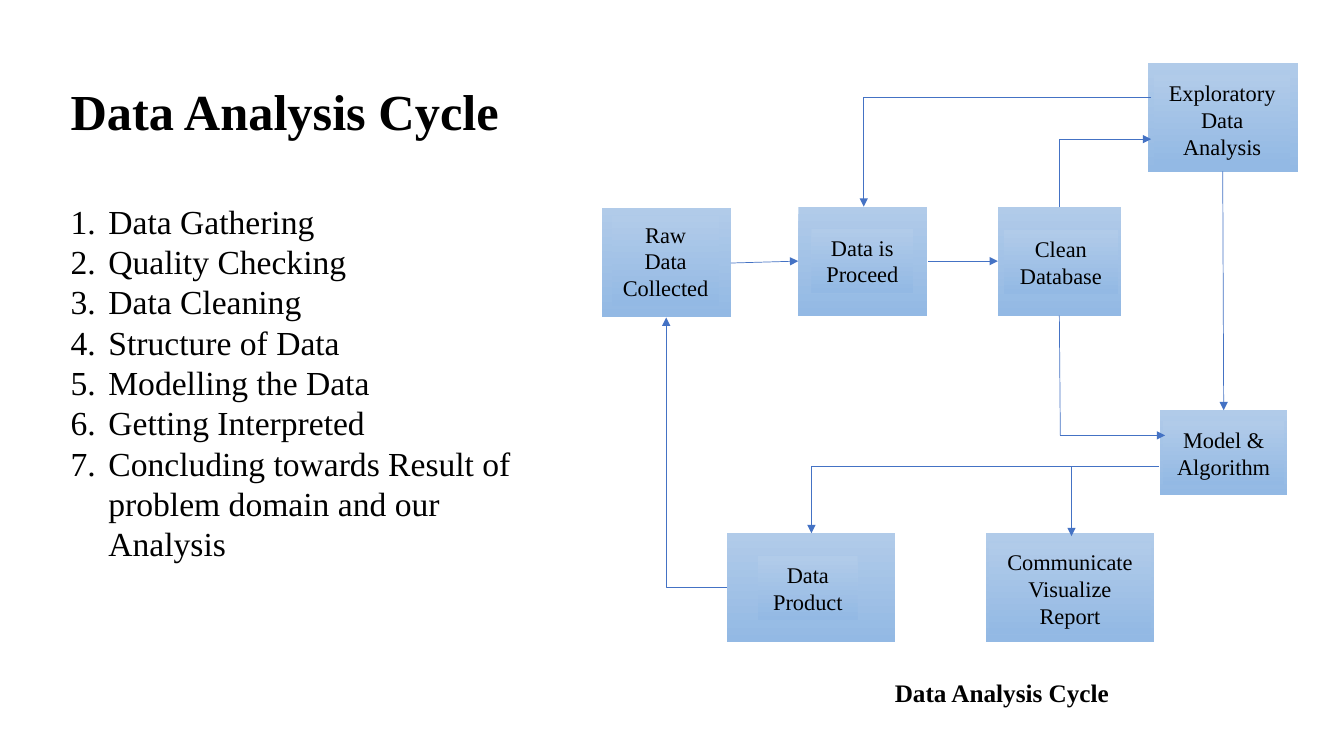
"""Build the Data Analysis Cycle slide: numbered steps beside a flow diagram."""
import pptx
import pptx.util
import pptx.dml.color
import pptx.enum.shapes
import pptx.enum.text
import pptx.oxml.ns
import lxml.etree

Pt = pptx.util.Pt
ALIGN = pptx.enum.text.PP_ALIGN
CONNECTOR = pptx.enum.shapes.MSO_CONNECTOR
FONT = "Times New Roman"
COLOURS = {"text": "000000", "line": "4472C4", "top": "B1CBE9", "bottom": "93B9E4"}

TITLE = "Data Analysis Cycle"
STEPS = [
    "Data Gathering",
    "Quality Checking",
    "Data Cleaning",
    "Structure of Data",
    "Modelling the Data",
    "Getting Interpreted",
    "Concluding towards Result of problem domain and our Analysis",
]
# Each stage: text, lines, box (left, top, width, height), label (left, top, width)
STAGES = [
    ("Exploratory Data Analysis", 3, (820, 45, 107.3, 77.8), (824.4, 53.3, 97.2)),
    ("Model & Algorithm", 2, (828.7, 293, 90.7, 60.5), (830.9, 301, 86.4)),
    ("Communicate Visualize Report", 3, (704.2, 380.9, 120.2, 77.8), (706.3, 388.1, 115.9)),
    ("Data Product", 2, (519.1, 380.9, 120.2, 77.8), (541.4, 397.4, 71.3)),
    ("Raw Data Collected", 3, (429.8, 148.3, 92.2, 77.8), (437, 154.1, 77)),
    ("Data is Proceed", 2, (570.2, 147.6, 92.2, 77.8), (579.6, 163.4, 72.7)),
    ("Clean Database", 2, (712.8, 147.6, 87.8, 77.8), (717.1, 164.2, 81.4)),
]
# Each link: route, start, end, arrowhead
LINKS = [
    ("up", (756.7, 147.6), (822.2, 99.4), True),
    ("across", (822.2, 69.8), (617, 147.6), True),
    ("across", (828, 333.4), (579.6, 380.9), True),
    ("straight", (765.4, 333.4), (765.4, 383), True),
    ("across", (519.1, 419.8), (475.9, 226.8), True),
    ("straight", (522, 187.9), (570.2, 186.5), True),
    ("straight", (663.1, 186.5), (712.8, 186.5), True),
    ("straight", (873.4, 122.4), (874.1, 293), True),
    ("straight", (756.7, 225.4), (757.4, 311), False),
    ("straight", (757.4, 311), (832.3, 311), True),
]
LINE_HEIGHT, INSETS = 19.2, 7.2


def rgb(name):
    return pptx.dml.color.RGBColor.from_string(COLOURS[name])


def add_child(parent, tag, **attributes):
    return lxml.etree.SubElement(parent, pptx.oxml.ns.qn(tag), **attributes)


def place(shape, left, top, width, height):
    shape.left, shape.top, shape.width, shape.height = map(Pt, (left, top, width, height))


def prepare(frame, anchor):
    frame.word_wrap = True
    frame.auto_size = pptx.enum.text.MSO_AUTO_SIZE.NONE
    frame.vertical_anchor = anchor


def write(para, text, size, align, bold=False):
    para.alignment = align
    para.space_before = Pt(0)
    span = para.add_run()
    span.text = text
    span.font.name = FONT
    span.font.size = Pt(size)
    span.font.bold = bold
    span.font.color.rgb = rgb("text")


def add_panel(slide, left, top, width, height):
    panel = slide.shapes.add_shape(
        pptx.enum.shapes.MSO_SHAPE.RECTANGLE, Pt(left), Pt(top), Pt(width), Pt(height))
    panel.shadow.inherit = False
    panel.line.fill.background()
    panel.fill.gradient()
    panel.fill.gradient_angle = 270
    for stop, name in zip(panel.fill.gradient_stops, ("top", "bottom")):
        stop.color.rgb = rgb(name)
    return panel


def add_link(slide, route, start, end, arrow):
    kind = CONNECTOR.STRAIGHT if route == "straight" else CONNECTOR.ELBOW
    if route == "up":
        middle_x, middle_y = (start[0] + end[0]) / 2, (start[1] + end[1]) / 2
        start, end = [(middle_x + y - middle_y, middle_y - x + middle_x) for x, y in (start, end)]
    link = slide.shapes.add_connector(kind, *map(Pt, start + end))
    link.line.width = Pt(0.5)
    link.line.color.rgb = rgb("line")
    properties = link._element.spPr
    if route != "straight":
        properties.find(pptx.oxml.ns.qn("a:prstGeom")).set("prst", "bentConnector2")
    if route == "up":
        properties.find(pptx.oxml.ns.qn("a:xfrm")).set("rot", "5400000")
    if arrow:
        add_child(properties.find(pptx.oxml.ns.qn("a:ln")), "a:tailEnd", type="triangle")
    add_child(properties, "a:effectLst")


def add_steps(body):
    place(body, 43.2, 139.7, 350, 266.4)
    frame = body.text_frame
    prepare(frame, pptx.enum.text.MSO_ANCHOR.TOP)
    for index, step in enumerate(STEPS):
        para = frame.add_paragraph() if index else frame.paragraphs[0]
        write(para, step, 24, ALIGN.LEFT)
        settings = para._p.get_or_add_pPr()
        settings.set("marL", str(Pt(27)))
        settings.set("indent", str(-Pt(27)))
        add_child(settings, "a:buFont", typeface=FONT)
        add_child(settings, "a:buAutoNum", type="arabicPeriod")


def main():
    deck = pptx.Presentation()
    deck.slide_width, deck.slide_height = Pt(960), Pt(540)
    slide = deck.slides.add_slide(deck.slide_layouts[1])

    title = slide.shapes.title
    place(title, 43.2, 53.3, 350, 50.4)
    prepare(title.text_frame, pptx.enum.text.MSO_ANCHOR.TOP)
    write(title.text_frame.paragraphs[0], TITLE, 36, ALIGN.LEFT, True)
    add_steps(slide.placeholders[1])

    for text, lines, box, (left, top, width) in STAGES:
        add_panel(slide, *box)
        label = add_panel(slide, left, top, width, lines * LINE_HEIGHT + INSETS)
        prepare(label.text_frame, pptx.enum.text.MSO_ANCHOR.TOP)
        write(label.text_frame.paragraphs[0], text, 16, ALIGN.CENTER)

    for link in LINKS:
        add_link(slide, *link)

    caption = slide.shapes.add_textbox(Pt(539.3), Pt(480.2), Pt(352.8), Pt(28.8))
    prepare(caption.text_frame, pptx.enum.text.MSO_ANCHOR.TOP)
    write(caption.text_frame.paragraphs[0], TITLE, 18, ALIGN.CENTER, True)

    deck.save("out.pptx")


if __name__ == "__main__":
    main()
